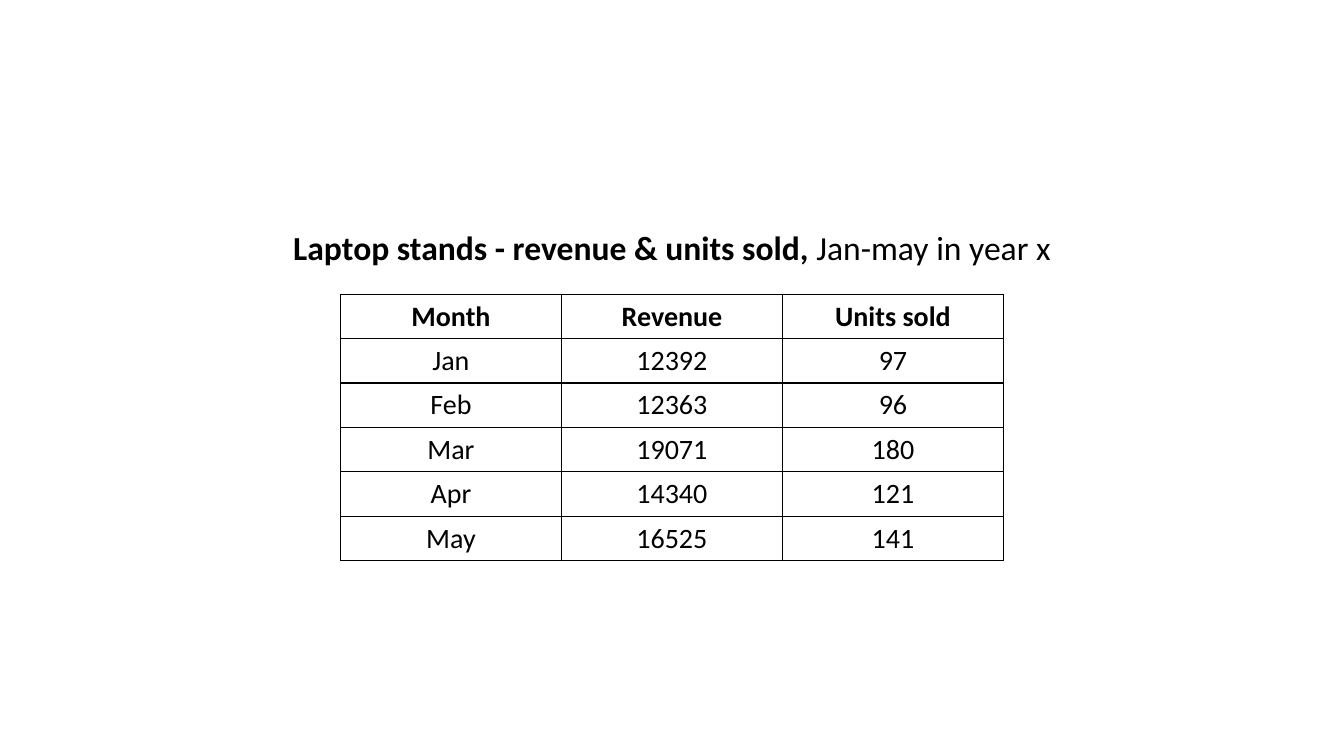
from lxml import etree
from pptx import Presentation
from pptx.dml.color import RGBColor
from pptx.enum.text import MSO_ANCHOR, PP_ALIGN
from pptx.oxml.ns import qn
from pptx.util import Pt

TITLE = [("Laptop stands - revenue & units sold, ", True), ("Jan-may in year x", False)]
SALES = [
    ("Month", "Revenue", "Units sold"),
    ("Jan", 12392, 97),
    ("Feb", 12363, 96),
    ("Mar", 19071, 180),
    ("Apr", 14340, 121),
    ("May", 16525, 141),
]
THEME = {"font": "Calibri", "ink": "000000", "title": 24, "body": 20, "border": 1}

SLIDE_W, SLIDE_H = 960, 540
TITLE_TOP, TITLE_W, TITLE_H = 164.2, 556.6, 27.4
TABLE_TOP, TABLE_H, COL_W, ROW_H = 210.2, 187.2, 157.9, 28.1


def centred(width):
    """Return the left edge that centres a width on the slide."""
    return Pt((SLIDE_W - width) / 2)


def add_run(paragraph, text, size, bold):
    """Add a centred run in the theme font."""
    paragraph.alignment = PP_ALIGN.CENTER
    run = paragraph.add_run()
    run.text = str(text)
    run.font.name = THEME["font"]
    run.font.size = Pt(size)
    run.font.bold = bold
    run.font.color.rgb = RGBColor.from_string(THEME["ink"])


def style_cell(cell):
    """Draw the four borders of a cell and leave it unfilled."""
    cell.vertical_anchor = MSO_ANCHOR.MIDDLE
    props = cell._tc.get_or_add_tcPr()
    for side in ("a:lnL", "a:lnR", "a:lnT", "a:lnB"):
        line = etree.SubElement(props, qn(side), w=str(Pt(THEME["border"])))
        fill = etree.SubElement(line, qn("a:solidFill"))
        etree.SubElement(fill, qn("a:srgbClr"), val=THEME["ink"])
    cell.fill.background()


def add_title(slide):
    """Add the heading above the table."""
    box = slide.shapes.add_textbox(centred(TITLE_W), Pt(TITLE_TOP), Pt(TITLE_W), Pt(TITLE_H))
    frame = box.text_frame
    frame.word_wrap = True
    frame.vertical_anchor = MSO_ANCHOR.MIDDLE
    frame.margin_left = frame.margin_right = frame.margin_top = frame.margin_bottom = 0
    paragraph = frame.paragraphs[0]
    paragraph.line_spacing = 0.9
    for text, bold in TITLE:
        add_run(paragraph, text, THEME["title"], bold)


def add_sales_table(slide):
    """Add the monthly sales table with a bold header row."""
    columns = len(SALES[0])
    width = columns * COL_W
    table = slide.shapes.add_table(len(SALES), columns, centred(width), Pt(TABLE_TOP),
                                   Pt(width), Pt(TABLE_H)).table
    table.first_row = table.horz_banding = False
    for column in table.columns:
        column.width = Pt(COL_W)
    for r, values in enumerate(SALES):
        table.rows[r].height = Pt(ROW_H)
        for c, value in enumerate(values):
            cell = table.cell(r, c)
            style_cell(cell)
            add_run(cell.text_frame.paragraphs[0], value, THEME["body"], r == 0)


prs = Presentation()
prs.slide_width, prs.slide_height = Pt(SLIDE_W), Pt(SLIDE_H)
slide = prs.slides.add_slide(prs.slide_layouts[6])
add_sales_table(slide)
add_title(slide)
prs.save("out.pptx")
